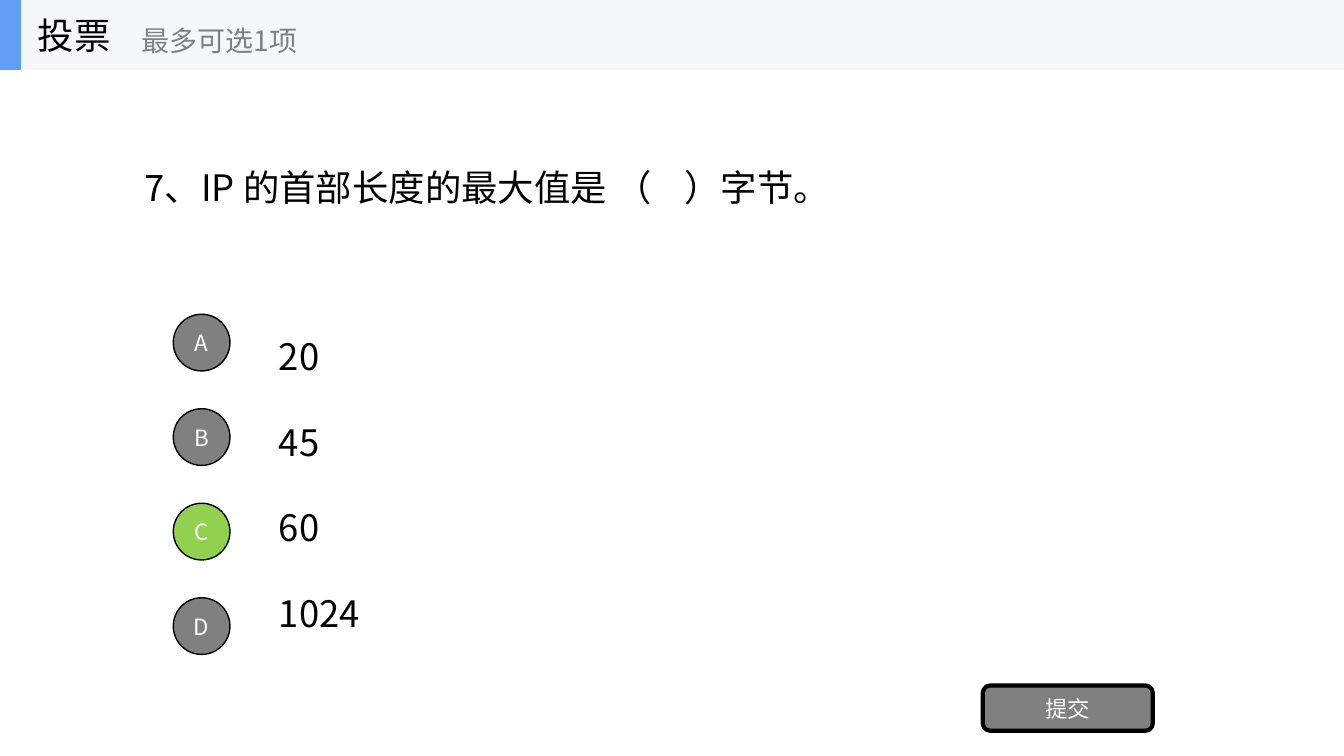
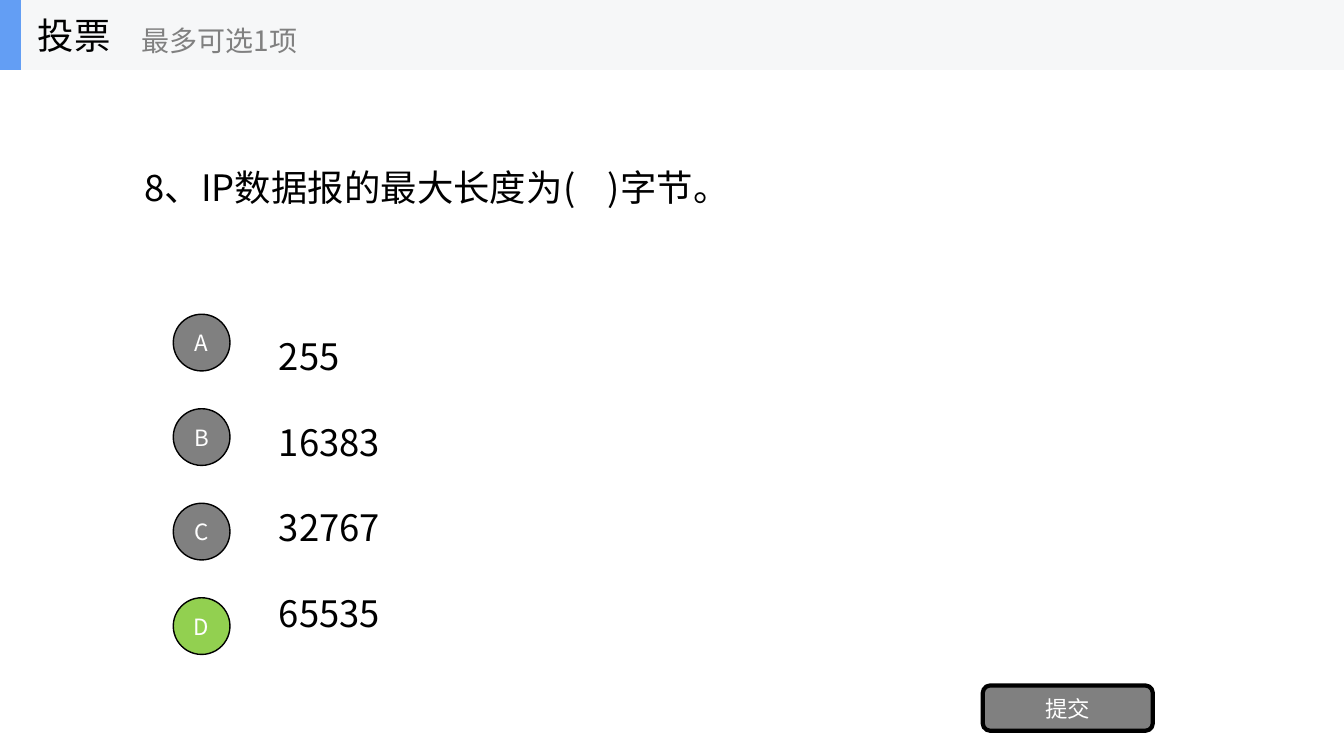
from dataclasses import dataclass

from lxml import etree
from pptx import Presentation
from pptx.dml.color import RGBColor
from pptx.enum.shapes import MSO_SHAPE
from pptx.enum.text import MSO_ANCHOR, MSO_AUTO_SIZE, PP_ALIGN
from pptx.oxml.ns import qn
from pptx.util import Pt

RECT, OVAL, ROUNDED = MSO_SHAPE.RECTANGLE, MSO_SHAPE.OVAL, MSO_SHAPE.ROUNDED_RECTANGLE
LEFT, CENTER = PP_ALIGN.LEFT, PP_ALIGN.CENTER
MIDDLE, NO_FIT = MSO_ANCHOR.MIDDLE, MSO_AUTO_SIZE.NONE

# Content
HEADING = "投票"
HINT = "最多可选1项"
SUBMIT = "提交"
LETTERS = "ABCD"
QUESTIONS = [
    {"question": "7、IP 的首部长度的最大值是 （    ）字节。",
     "options": ["20", "45", "60", "1024"], "answer": "C"},
    {"question": "8、IP数据报的最大长度为(    )字节。",
     "options": ["255", "16383", "32767", "65535"], "answer": "D"},
]


@dataclass(frozen=True)
class Theme:
    font: str = "Noto Sans CJK SC"
    ink: str = "000000"
    muted: str = "808080"
    light: str = "FFFFFF"
    chosen: str = "92D050"
    band: str = "F6F7F8"
    accent: str = "639EF4"
    main_size: float = 26
    hint_size: float = 20
    label_size: float = 16


THEME = Theme()

# Layout in points
SLIDE_W, SLIDE_H = 960, 540
BAND_H = 50
QUESTION_BOX = (96, 49.5, 768, 168.75)
ROW_TOP, ROW_H, ROW_STEP = 219.4, 50.6, 67.5
OPTION_LEFT, OPTION_W = 192, 672
OPTION_GAP = 29.85  # row step less the line height of the option text
BADGE_LEFT, BADGE_SIZE = 123.75, 40.5
SUBMIT_BOX = (702, 489.6, 121.5, 32.4)


def write(shape, lines, size, color, align=LEFT, gap=0):
    """Fill a text frame with plain, bullet-free paragraphs."""
    frame = shape.text_frame
    frame_format = {"word_wrap": True, "auto_size": NO_FIT, "vertical_anchor": MIDDLE}
    for name, value in frame_format.items():
        setattr(frame, name, value)
    for index, line in enumerate(lines):
        paragraph = frame.add_paragraph() if index else frame.paragraphs[0]
        paragraph.alignment = align
        paragraph.space_before = Pt(gap if index else 0)
        properties = paragraph._p.get_or_add_pPr()
        properties.set("marL", "0")
        properties.set("indent", "0")
        etree.SubElement(properties, qn("a:buNone"))
        run = paragraph.add_run()
        run.text = line
        for name, value in {"name": THEME.font, "size": Pt(size), "bold": False}.items():
            setattr(run.font, name, value)
        run.font.color.rgb = RGBColor.from_string(color)
        etree.SubElement(run._r.get_or_add_rPr(), qn("a:ea"), typeface=THEME.font)


def place(shape, box):
    for name, value in zip(("left", "top", "width", "height"), box):
        setattr(shape, name, Pt(value))


def add_block(shapes, kind, box, fill, line_width=0):
    block = shapes.add_shape(kind, *map(Pt, box))
    block.shadow.inherit = False
    block.fill.solid()
    block.fill.fore_color.rgb = RGBColor.from_string(fill)
    if line_width:
        block.line.color.rgb = RGBColor.from_string(THEME.ink)
        block.line.width = Pt(line_width)
    else:
        block.line.fill.background()
    return block


def add_button(shapes, kind, box, label, fill, line_width):
    button = add_block(shapes, kind, box, fill, line_width)
    for side in ("left", "right", "top", "bottom"):
        setattr(button.text_frame, f"margin_{side}", 0)
    write(button, [label], THEME.label_size, THEME.light, CENTER)


def add_header(slide):
    header = slide.shapes.add_group_shape().shapes
    add_block(header, RECT, (0, 0, SLIDE_W, BAND_H), THEME.band)
    add_block(header, RECT, (0, 0, 15, BAND_H), THEME.accent)
    for text, box, size, color in (
        (HEADING, (20, 0, 150, BAND_H), THEME.main_size, THEME.ink),
        (HINT, (94, 9, 180, 40), THEME.hint_size, THEME.muted),
    ):
        write(header.add_textbox(*map(Pt, box)), [text], size, color)


def add_question(deck, item):
    slide = deck.slides.add_slide(deck.slide_layouts[1])

    # Question and options
    question, options = slide.placeholders
    place(question, QUESTION_BOX)
    write(question, [item["question"]], THEME.main_size, THEME.ink)
    list_height = ROW_STEP * (len(item["options"]) - 1) + ROW_H
    place(options, (OPTION_LEFT, ROW_TOP, OPTION_W, list_height))
    write(options, item["options"], THEME.main_size, THEME.ink, gap=OPTION_GAP)

    # Letter badges, the answer highlighted
    for row, letter in enumerate(LETTERS):
        top = ROW_TOP + row * ROW_STEP + (ROW_H - BADGE_SIZE) / 2
        fill = THEME.chosen if letter == item["answer"] else THEME.muted
        add_button(slide.shapes, OVAL, (BADGE_LEFT, top, BADGE_SIZE, BADGE_SIZE),
                   letter, fill, 1)

    add_button(slide.shapes, ROUNDED, SUBMIT_BOX, SUBMIT, THEME.muted, 3)
    add_header(slide)


def main():
    deck = Presentation()
    deck.slide_width, deck.slide_height = Pt(SLIDE_W), Pt(SLIDE_H)
    for item in QUESTIONS:
        add_question(deck, item)
    deck.save("out.pptx")


if __name__ == "__main__":
    main()
